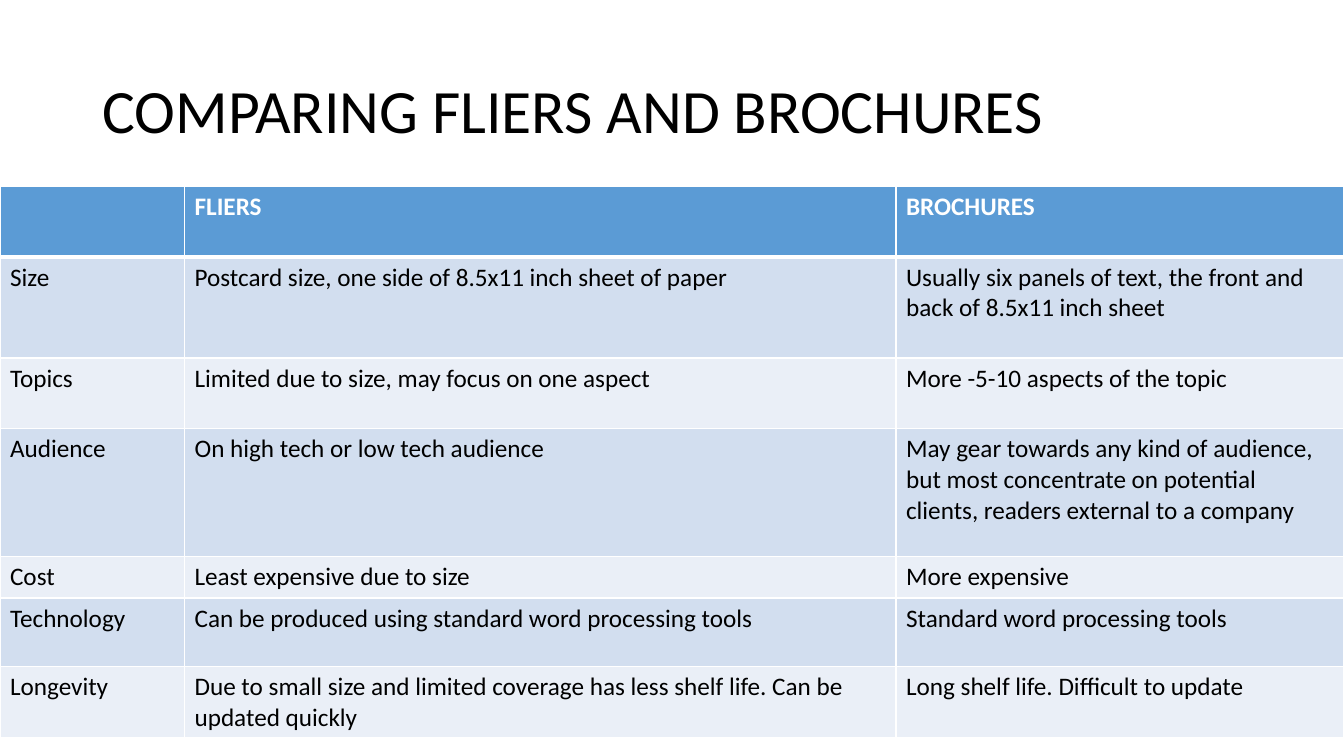
import pptx
import pptx.dml.color
import pptx.enum.text
import pptx.oxml
import pptx.oxml.ns
import pptx.util

Cm = pptx.util.Cm
Pt = pptx.util.Pt


def rgb(value):
    return pptx.dml.color.RGBColor.from_string(value)


def add_border(cell, side, width):
    ns = pptx.oxml.ns.nsdecls("a")
    cell._tc.get_or_add_tcPr().append(pptx.oxml.parse_xml(
        f'<a:{side} {ns} w="{Pt(width)}"><a:solidFill>'
        f'<a:srgbClr val="FFFFFF"/></a:solidFill></a:{side}>'))


prs = pptx.Presentation()
prs.slide_width = Cm(33.87)
prs.slide_height = Cm(19.05)
s = prs.slides.add_slide(prs.slide_layouts[6])

sp = s.shapes.add_textbox(Cm(2.33), Cm(1.01), Cm(29.21), Cm(3.68))
tf = sp.text_frame
tf.word_wrap = True
tf.vertical_anchor = pptx.enum.text.MSO_ANCHOR.MIDDLE
tf.text = "COMPARING FLIERS AND BROCHURES"
p = tf.paragraphs[0]
p.line_spacing = 0.9
p.font.size = Pt(44)
p.font.name = "Calibri"
p.font.color.rgb = rgb("000000")

rows = [
    (1.78, "", "FLIERS", "BROCHURES"),
    (2.54, "Size", "Postcard size, one side of 8.5x11 inch sheet of paper",
     "Usually six panels of text, the front and back of 8.5x11 inch sheet"),
    (1.78, "Topics", "Limited due to size, may focus on one aspect",
     "More -5-10 aspects of the topic"),
    (3.23, "Audience", "On high tech or low tech audience",
     "May gear towards any kind of audience, but most concentrate on "
     "potential clients, readers external to a company"),
    (1.04, "Cost", "Least expensive due to size", "More expensive"),
    (1.73, "Technology", "Can be produced using standard word processing tools",
     "Standard word processing tools"),
    (1.04, "Longevity",
     "Due to small size and limited coverage has less shelf life. "
     "Can be updated quickly",
     "Long shelf life. Difficult to update"),
]
widths = [4.65, 17.93, 11.28]

table = s.shapes.add_table(len(rows), len(widths), Cm(0), Cm(4.7),
                           Cm(sum(widths)), Cm(sum(row[0] for row in rows))).table
for column, width in zip(table.columns, widths):
    column.width = Cm(width)

for i, (height, *texts) in enumerate(rows):
    table.rows[i].height = Cm(height)
    header = i == 0
    fill = "5B9BD5" if header else ("EAEFF7", "D2DEEF")[i % 2]
    for j, text in enumerate(texts):
        cell = table.cell(i, j)
        add_border(cell, "lnL", 1)
        add_border(cell, "lnR", 1)
        add_border(cell, "lnT", 3 if i == 1 else 1)
        add_border(cell, "lnB", 3 if header else 1)
        cell.fill.solid()
        cell.fill.fore_color.rgb = rgb(fill)
        cell.text = text
        p = cell.text_frame.paragraphs[0]
        p.font.size = Pt(18)
        p.font.name = "Calibri"
        p.font.bold = header
        p.font.color.rgb = rgb("FFFFFF" if header else "000000")

prs.save("out.pptx")
